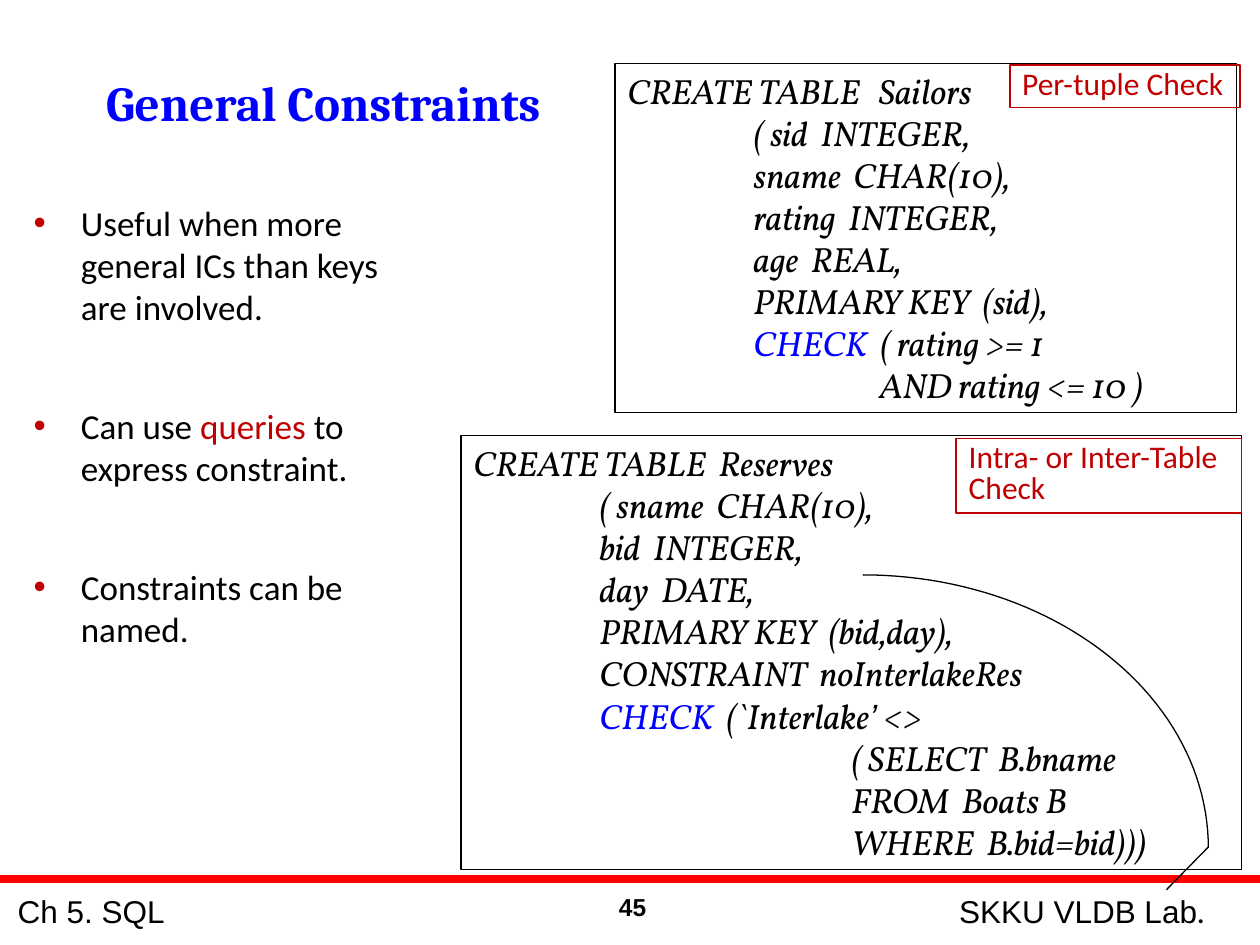
from dataclasses import dataclass
from math import cos, pi, sin

from lxml import etree
from pptx import Presentation
from pptx.dml.color import RGBColor
from pptx.enum.shapes import MSO_CONNECTOR, MSO_SHAPE
from pptx.enum.text import MSO_ANCHOR, MSO_AUTO_SIZE, PP_ALIGN
from pptx.oxml.ns import qn
from pptx.util import Pt

LEFT, CENTER = PP_ALIGN.LEFT, PP_ALIGN.CENTER
TOP, MIDDLE = MSO_ANCHOR.TOP, MSO_ANCHOR.MIDDLE
BLACK = RGBColor(0x00, 0x00, 0x00)
BLUE = RGBColor(0x00, 0x00, 0xFF)
RED = RGBColor(0xFF, 0x00, 0x00)
DARK_RED = RGBColor(0xC0, 0x00, 0x00)
CODE_FONT = "Vollkorn"
BODY_FONT = "Calibri"
FOOTER_FONT = "Arial"
TAB_STOP = 72
ARC_STEPS = 48


@dataclass(frozen=True)
class Box:
    left: float
    top: float
    width: float
    height: float

    def lengths(self):
        return Pt(self.left), Pt(self.top), Pt(self.width), Pt(self.height)


@dataclass(frozen=True)
class Span:
    text: str
    color: RGBColor = BLACK
    font: str = ""


@dataclass(frozen=True)
class Listing:
    box: Box
    lines: list
    label_box: Box
    label: list


@dataclass(frozen=True)
class Footer:
    box: Box
    spans: list
    size: float = 18
    bold: bool = False
    align: PP_ALIGN = CENTER
    anchor: MSO_ANCHOR = MIDDLE


LISTINGS = [
    Listing(
        Box(351.5, 36.25, 355, 199.5),
        [
            "CREATE TABLE   Sailors",
            "\t( sid  INTEGER,",
            "\tsname  CHAR(10),",
            "\trating  INTEGER,",
            "\tage  REAL,",
            "\tPRIMARY KEY  (sid),",
            [Span("\t"), Span("CHECK", BLUE), Span("  ( rating >= 1")],
            "\t\tAND rating <= 10 )",
        ],
        Box(577, 37, 131.5, 24.5),
        ["Per-tuple Check"],
    ),
    Listing(
        Box(263.5, 249, 446, 247.75),
        [
            "CREATE TABLE  Reserves",
            "\t( sname  CHAR(10),",
            "\tbid  INTEGER,",
            "\tday  DATE,",
            "\tPRIMARY KEY  (bid,day),",
            "\tCONSTRAINT  noInterlakeRes",
            [Span("\t"), Span("CHECK", BLUE), Span("  (`Interlake"),
             Span("’", font="Arial"), Span(" <>")],
            "\t\t\t( SELECT  B.bname",
            "\t\t\tFROM  Boats B",
            "\t\t\tWHERE  B.bid=bid)))",
        ],
        Box(546.5, 250.5, 163, 42.5),
        ["Intra- or Inter-Table", "Check"],
    ),
]
BULLETS = [
    "Useful when more general ICs than keys are involved.",
    [Span("Can use "), Span("queries ", DARK_RED), Span("to express constraint.")],
    "Constraints can be named.",
]
FOOTERS = [
    Footer(Box(286.5, 506, 150, 36), "45", size=14, bold=True, anchor=TOP),
    Footer(Box(516, 502.5, 204.5, 36),
           [Span("SKKU VLDB Lab"), Span(".", font="Lato")]),
    Footer(Box(3, 502.5, 150, 36), "Ch 5. SQL", align=LEFT),
]


def write(shape, contents: list, *, font: str, size: float, color=BLACK,
          bold=False, italic=False, align=LEFT, anchor=TOP, wrap=True,
          line_spacing=None) -> list:
    """Write one paragraph for each string or list of spans; return them."""
    frame = shape.text_frame
    frame.auto_size = MSO_AUTO_SIZE.NONE
    frame.word_wrap = wrap
    frame.vertical_anchor = anchor
    for index, content in enumerate(contents):
        paragraph = frame.add_paragraph() if index else frame.paragraphs[0]
        paragraph.alignment = align
        paragraph.space_before = Pt(0)
        if line_spacing:
            paragraph.line_spacing = line_spacing
        spans = [Span(content, color)] if isinstance(content, str) else content
        for span in spans:
            run = paragraph.add_run()
            run.text = span.text
            run.font.name = span.font or font
            run.font.size = Pt(size)
            run.font.bold = bold
            run.font.italic = italic
            run.font.color.rgb = span.color
    return list(frame.paragraphs)


def add_tab_stops(paragraph, count: int) -> None:
    stops = etree.SubElement(paragraph._p.get_or_add_pPr(), qn("a:tabLst"))
    for number in range(1, count + 1):
        etree.SubElement(stops, qn("a:tab"), pos=str(Pt(TAB_STOP * number)), algn="l")


def add_bullet(paragraph, color: RGBColor) -> None:
    properties = paragraph._p.get_or_add_pPr()
    properties.set("marL", str(Pt(27)))
    properties.set("indent", str(Pt(-27)))
    bullet_color = etree.SubElement(properties, qn("a:buClr"))
    etree.SubElement(bullet_color, qn("a:srgbClr"), val=str(color))
    etree.SubElement(properties, qn("a:buFont"), typeface="Arial")
    etree.SubElement(properties, qn("a:buChar"), char="•")


def add_frame(slide, box: Box, color: RGBColor, width: float):
    shape = slide.shapes.add_shape(MSO_SHAPE.RECTANGLE, *box.lengths())
    shape.shadow.inherit = False
    shape.fill.background()
    shape.line.color.rgb = color
    shape.line.width = Pt(width)
    return shape


def add_listing(slide, listing: Listing) -> None:
    code = add_frame(slide, listing.box, BLACK, 0.75)
    for paragraph in write(code, listing.lines, font=CODE_FONT, size=20, italic=True):
        add_tab_stops(paragraph, 3)
    label = add_frame(slide, listing.label_box, DARK_RED, 1)
    write(label, listing.label, font=BODY_FONT, size=18, color=DARK_RED,
          wrap=False, line_spacing=0.8)


def add_line(slide, start: tuple, end: tuple, color: RGBColor, width: float) -> None:
    line = slide.shapes.add_connector(
        MSO_CONNECTOR.STRAIGHT, *(Pt(value) for value in start + end))
    line.line.color.rgb = color
    line.line.width = Pt(width)
    etree.SubElement(line._element.spPr, qn("a:effectLst"))


def add_quarter_arc(slide, box: Box) -> None:
    """Draw the upper right quarter of an ellipse filling the box."""
    angles = [pi / 2 * step / ARC_STEPS for step in range(ARC_STEPS + 1)]
    points = [(Pt(box.left + box.width * sin(angle)),
               Pt(box.top + box.height * (1 - cos(angle)))) for angle in angles]
    builder = slide.shapes.build_freeform(*points[0])
    builder.add_line_segments(points[1:], close=False)
    arc = builder.convert_to_shape()
    arc.shadow.inherit = False
    arc.fill.background()
    arc.line.color.rgb = BLACK
    arc.line.width = Pt(0.75)


def place(shape, box: Box) -> None:
    shape.left, shape.top, shape.width, shape.height = box.lengths()


def main() -> None:
    presentation = Presentation()
    presentation.slide_width, presentation.slide_height = Pt(720), Pt(540)
    slide = presentation.slides.add_slide(presentation.slide_layouts[1])
    title, body = slide.placeholders

    place(title, Box(3, 5, 363.5, 106.5))
    write(title, ["General Constraints"], font="Cambria", size=28, color=BLUE,
          bold=True, align=CENTER, anchor=MIDDLE)
    place(body, Box(12, 111.5, 222, 360))
    bullets = write(body, BULLETS, font=BODY_FONT, size=20)
    for index, paragraph in enumerate(bullets):
        paragraph.space_before = Pt(44 if index else 0)
        add_bullet(paragraph, DARK_RED)

    add_line(slide, (0, 502.5), (720, 502.5), RED, 4.5)
    for footer in FOOTERS:
        write(slide.shapes.add_textbox(*footer.box.lengths()), [footer.spans],
              font=FOOTER_FONT, size=footer.size, bold=footer.bold,
              align=footer.align, anchor=footer.anchor, wrap=False)
    for listing in LISTINGS:
        add_listing(slide, listing)
    add_quarter_arc(slide, Box(493, 328.5, 197.5, 156))
    add_line(slide, (690.5, 484), (666.5, 508.5), BLACK, 0.75)
    presentation.save("out.pptx")


if __name__ == "__main__":
    main()
